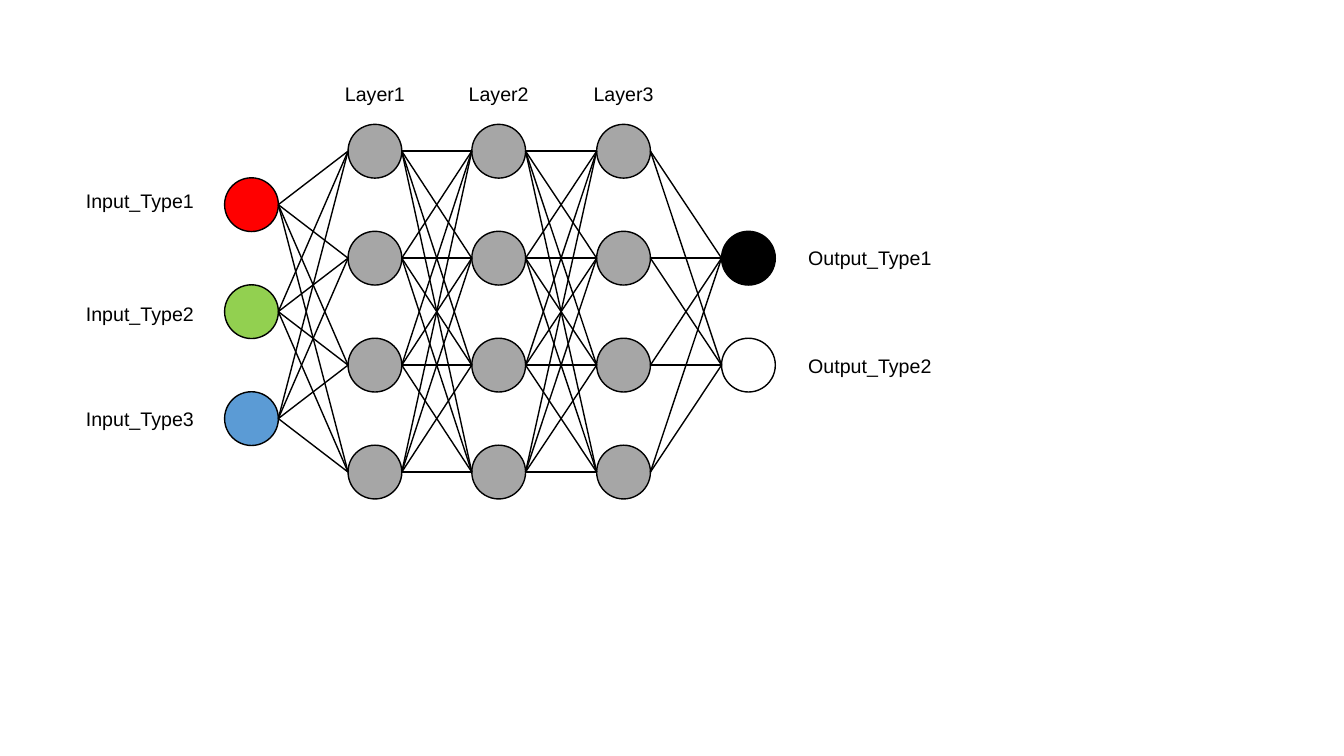
import dataclasses
import itertools

import pptx
import pptx.dml.color
import pptx.enum.shapes
import pptx.enum.text
import pptx.oxml
import pptx.util


@dataclasses.dataclass(frozen=True)
class Theme:
    ink: str = "000000"
    paper: str = "FFFFFF"
    hidden: str = "A6A6A6"
    red: str = "FF0000"
    green: str = "92D050"
    blue: str = "5B9BD5"
    font: str = "Arial"
    label_size: float = 14
    line_width: float = 1


class Canvas:
    def __init__(self, slide, theme):
        self.slide = slide
        self.theme = theme
        self.network = slide.shapes.add_group_shape()

    def color(self, value):
        return pptx.dml.color.RGBColor.from_string(value)

    def outline(self, line):
        line.color.rgb = self.color(self.theme.ink)
        line.width = pptx.util.Pt(self.theme.line_width)

    def neuron(self, center_x, center_y, diameter, fill):
        shape = self.network.shapes.add_shape(
            pptx.enum.shapes.MSO_SHAPE.OVAL,
            pptx.util.Pt(center_x - diameter / 2),
            pptx.util.Pt(center_y - diameter / 2),
            pptx.util.Pt(diameter),
            pptx.util.Pt(diameter),
        )
        shape.shadow.inherit = False
        shape.fill.solid()
        shape.fill.fore_color.rgb = self.color(fill)
        self.outline(shape.line)

    def link(self, start_x, start_y, end_x, end_y):
        connector = self.network.shapes.add_connector(
            pptx.enum.shapes.MSO_CONNECTOR.STRAIGHT,
            pptx.util.Pt(start_x),
            pptx.util.Pt(start_y),
            pptx.util.Pt(end_x),
            pptx.util.Pt(end_y),
        )
        self.outline(connector.line)
        properties = connector._element.spPr
        properties.append(properties.makeelement(pptx.oxml.ns.qn("a:effectLst"), {}))

    def label(self, text, center_x, center_y, width=105, height=24):
        shape = self.slide.shapes.add_textbox(
            pptx.util.Pt(center_x - width / 2),
            pptx.util.Pt(center_y - height / 2),
            pptx.util.Pt(width),
            pptx.util.Pt(height),
        )
        text_frame = shape.text_frame
        text_frame.word_wrap = True
        text_frame.vertical_anchor = pptx.enum.text.MSO_ANCHOR.MIDDLE
        text_frame.text = text
        paragraph = text_frame.paragraphs[0]
        paragraph.alignment = pptx.enum.text.PP_ALIGN.CENTER
        font = paragraph.runs[0].font
        font.name = self.theme.font
        font.size = pptx.util.Pt(self.theme.label_size)
        font.color.rgb = self.color(self.theme.ink)


def main():
    presentation = pptx.Presentation()
    presentation.slide_width = pptx.util.Pt(960)
    presentation.slide_height = pptx.util.Pt(540)
    slide = presentation.slides.add_slide(presentation.slide_layouts[6])
    theme = Theme()
    canvas = Canvas(slide, theme)

    diameter = 38.4
    row_gap = 76.4
    middle_y = 222.6
    hidden_fills = [theme.hidden] * 4
    layers = [
        (179.6, [theme.red, theme.green, theme.blue]),
        (267.8, hidden_fills),
        (356.2, hidden_fills),
        (445.4, hidden_fills),
        (534.6, [theme.ink, theme.paper]),
    ]

    def row_centers(count):
        return [middle_y + (row - (count - 1) / 2) * row_gap for row in range(count)]

    for center_x, fills in layers:
        for center_y, fill in zip(row_centers(len(fills)), fills):
            canvas.neuron(center_x, center_y, diameter, fill)

    for (left_x, left_fills), (right_x, right_fills) in itertools.pairwise(layers):
        for left_y, right_y in itertools.product(
            row_centers(len(left_fills)), row_centers(len(right_fills))
        ):
            canvas.link(left_x + diameter / 2, left_y, right_x - diameter / 2, right_y)

    for number, center_y in enumerate([143.6, 224.2, 299.2], start=1):
        canvas.label(f"Input_Type{number}", 100, center_y)
    for number, center_y in enumerate([184.2, 261], start=1):
        canvas.label(f"Output_Type{number}", 621.4, center_y)
    for number, (center_x, _) in enumerate(layers[1:-1], start=1):
        canvas.label(f"Layer{number}", center_x, 66.6, width=68)

    presentation.save("out.pptx")


if __name__ == "__main__":
    main()
